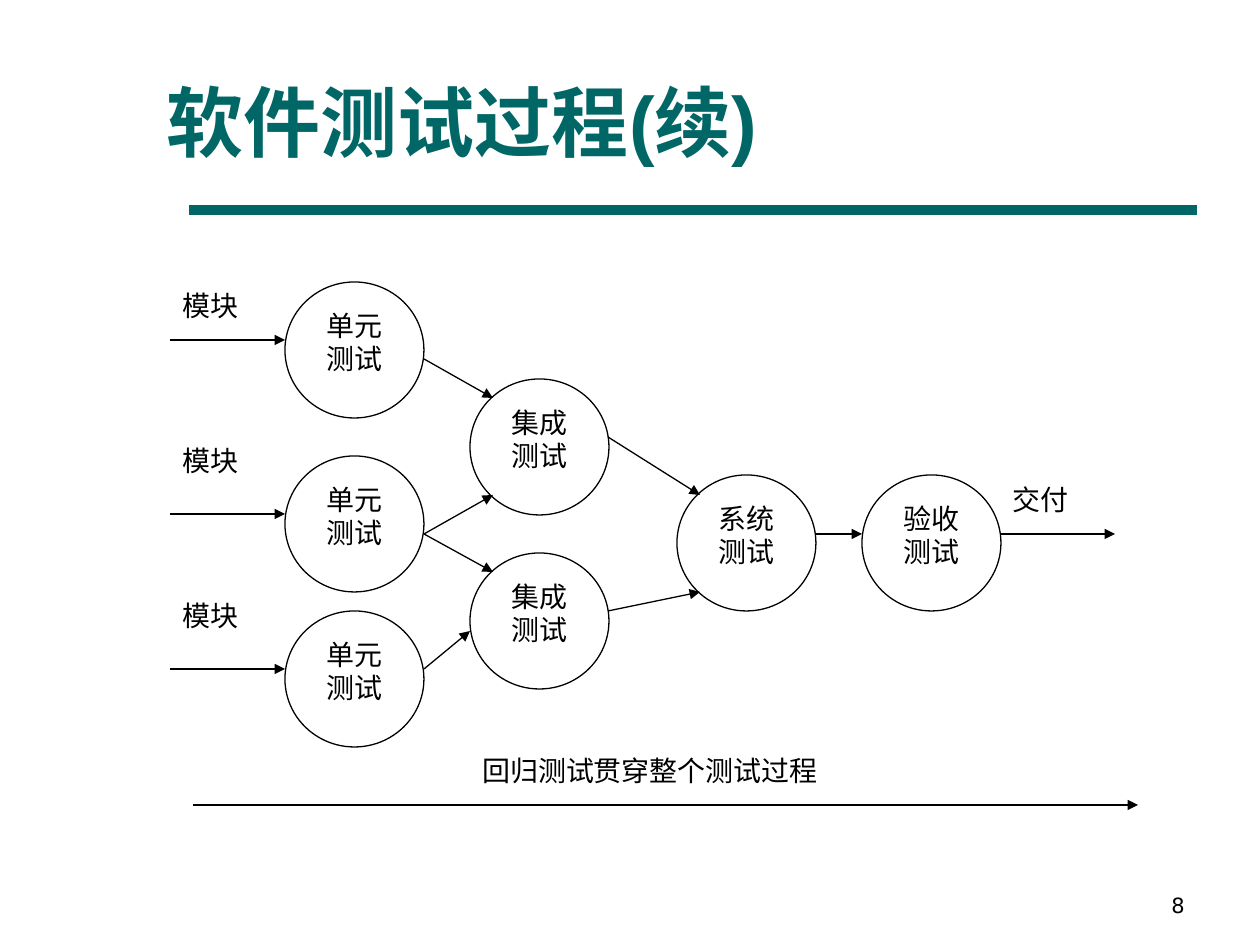
from dataclasses import dataclass

from lxml import etree
from pptx import Presentation
from pptx.dml.color import RGBColor
from pptx.enum.shapes import MSO_CONNECTOR, MSO_SHAPE
from pptx.enum.text import MSO_ANCHOR, MSO_AUTO_SIZE, PP_ALIGN
from pptx.oxml.ns import qn
from pptx.util import Emu, Pt

PX_PER_INCH = 126
EMU_PER_INCH = 914400
TITLE_ONLY_LAYOUT = 5

TEAL = RGBColor(0x00, 0x66, 0x66)
BLACK = RGBColor(0x00, 0x00, 0x00)
WHITE = RGBColor(0xFF, 0xFF, 0xFF)

ELLIPSE, RECTANGLE = MSO_SHAPE.OVAL, MSO_SHAPE.RECTANGLE
STRAIGHT = MSO_CONNECTOR.STRAIGHT
TOP, BOTTOM = MSO_ANCHOR.TOP, MSO_ANCHOR.BOTTOM
LEFT, CENTER, RIGHT, JUSTIFY = (
    PP_ALIGN.LEFT, PP_ALIGN.CENTER, PP_ALIGN.RIGHT, PP_ALIGN.JUSTIFY)
NO_AUTOFIT = MSO_AUTO_SIZE.NONE

STAGE_WIDTH, STAGE_HEIGHT = 139, 136
LABEL_WIDTH, LABEL_HEIGHT = 115, 58
THIN = 0.75


@dataclass(frozen=True)
class Stage:
    name: str
    left: int
    top: int


@dataclass(frozen=True)
class Label:
    text: str
    left: int
    top: int
    width: int = LABEL_WIDTH


@dataclass(frozen=True)
class Line:
    x1: int
    y1: int
    x2: int
    y2: int


UNIT_X, INTEGRATION_X, SYSTEM_X, ACCEPTANCE_X = 285, 470, 677, 862
MODULE_X = UNIT_X - LABEL_WIDTH
DELIVERY_X = ACCEPTANCE_X + STAGE_WIDTH - 1
FLOW_Y = 534

STAGES = [
    *(Stage("单元", UNIT_X, top) for top in (282, 456, 611)),
    *(Stage("集成", INTEGRATION_X, top) for top in (379, 553)),
    Stage("系统", SYSTEM_X, 475),
    Stage("验收", ACCEPTANCE_X, 475),
]
LABELS = [
    *(Label("模块", MODULE_X, top) for top in (282, 437, 592)),
    Label("交付", DELIVERY_X, 476),
    Label("回归测试贯穿整个测试过程", INTEGRATION_X, 747, 369),
]
ARROWS = [
    *(Line(MODULE_X, y, UNIT_X, y) for y in (340, 514, 669)),
    Line(424, 359, 493, 398),
    Line(424, 534, 493, 495),
    Line(424, 534, 493, 572),
    Line(424, 669, 470, 631),
    Line(608, 437, 700, 495),
    Line(608, 611, 700, 592),
    Line(815, FLOW_Y, ACCEPTANCE_X, FLOW_Y),
    Line(DELIVERY_X, FLOW_Y, DELIVERY_X + LABEL_WIDTH, FLOW_Y),
    Line(193, 805, 1138, 805),
]
TITLE_RULE = Line(189, 210, 1197, 210)


def px(length: int) -> Emu:
    return Emu(round(length * EMU_PER_INCH / PX_PER_INCH))


def write(frame, lines: list[str], size: int, font_name: str,
          align: PP_ALIGN, anchor: MSO_ANCHOR = TOP,
          color: RGBColor = BLACK, bold: bool = False) -> None:
    frame.word_wrap = True
    frame.auto_size = NO_AUTOFIT
    frame.vertical_anchor = anchor
    frame.text = "\n".join(lines)
    for paragraph in frame.paragraphs:
        paragraph.alignment = align
        font = paragraph.font
        font.size, font.name, font.bold = Pt(size), font_name, bold
        font.color.rgb = color


def place(shape, left: int, top: int, width: int, height: int) -> None:
    shape.left, shape.top = px(left), px(top)
    shape.width, shape.height = px(width), px(height)


def add_white_shape(slide, kind: MSO_SHAPE, left: int, top: int,
                    width: int, height: int):
    shape = slide.shapes.add_shape(
        kind, px(left), px(top), px(width), px(height))
    shape.shadow.inherit = False
    shape.fill.solid()
    shape.fill.fore_color.rgb = WHITE
    return shape


def add_label(slide, label: Label) -> None:
    box = add_white_shape(slide, RECTANGLE, label.left, label.top,
                          label.width, LABEL_HEIGHT)
    box.line.fill.background()
    write(box.text_frame, [label.text], 16, "Times New Roman", JUSTIFY)


def add_stage(slide, stage: Stage) -> None:
    circle = add_white_shape(slide, ELLIPSE, stage.left, stage.top,
                             STAGE_WIDTH, STAGE_HEIGHT)
    circle.line.color.rgb = BLACK
    circle.line.width = Pt(THIN)
    write(circle.text_frame, [stage.name, "测试"], 16,
          "Times New Roman", CENTER)


def add_line(slide, line: Line, color: RGBColor = BLACK,
             weight: float = THIN, arrow: bool = True) -> None:
    connector = slide.shapes.add_connector(
        STRAIGHT, px(line.x1), px(line.y1), px(line.x2), px(line.y2))
    connector.line.color.rgb = color
    connector.line.width = Pt(weight)
    if arrow:
        etree.SubElement(connector.line._get_or_add_ln(),
                         qn("a:tailEnd"), type="triangle")
    etree.SubElement(connector._element.spPr, qn("a:effectLst"))


def main() -> None:
    presentation = Presentation()
    presentation.slide_width, presentation.slide_height = px(1260), px(945)
    slide = presentation.slides.add_slide(
        presentation.slide_layouts[TITLE_ONLY_LAYOUT])

    add_line(slide, TITLE_RULE, TEAL, 6, arrow=False)
    title = slide.shapes.title
    place(title, 154, 15, 1071, 158)
    write(title.text_frame, ["软件测试过程(续)"], 44, "Arial",
          LEFT, BOTTOM, TEAL, bold=True)

    for label in LABELS:
        add_label(slide, label)
    for stage in STAGES:
        add_stage(slide, stage)
    for arrow in ARROWS:
        add_line(slide, arrow)

    page_number = slide.shapes.add_textbox(px(903), px(861), px(294), px(63))
    write(page_number.text_frame, ["8"], 12, "DejaVu Sans", RIGHT, BOTTOM)

    presentation.save("out.pptx")


if __name__ == "__main__":
    main()
